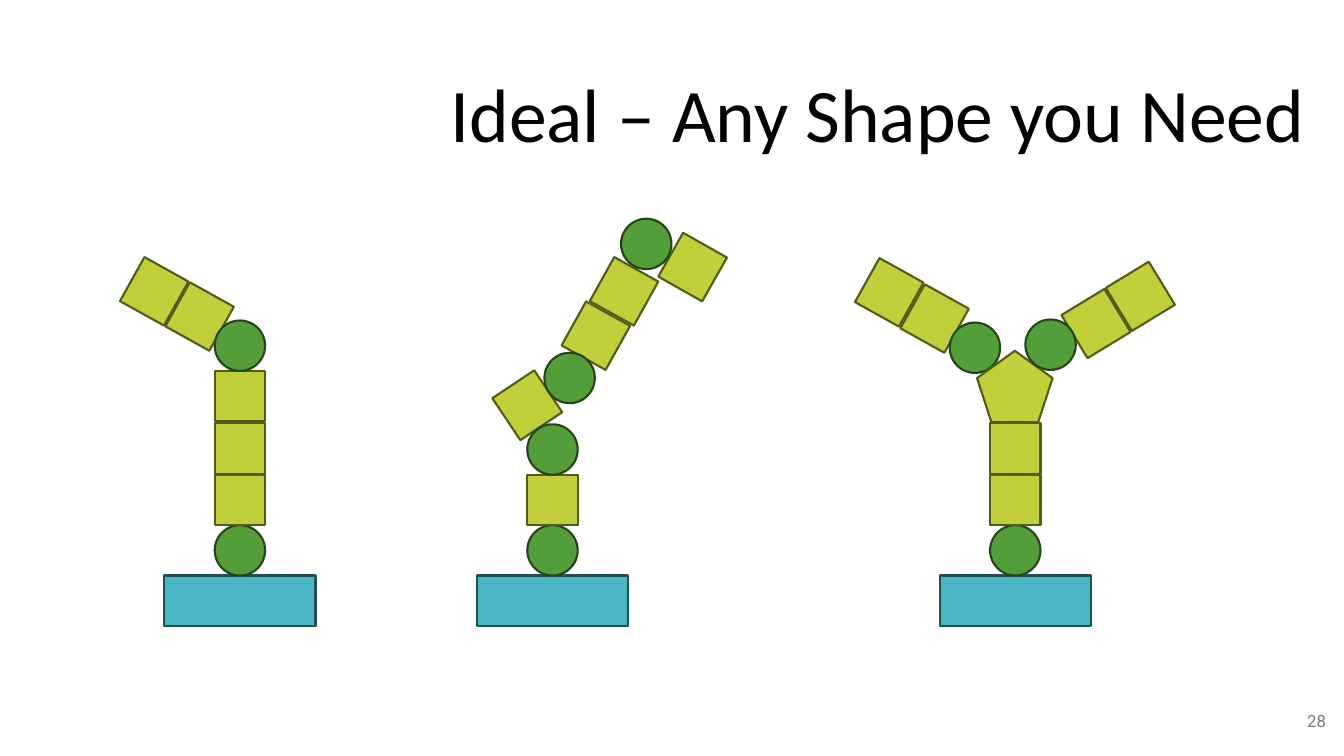
from pptx import Presentation
from pptx import util as u
from pptx.dml.color import RGBColor
from pptx.enum import shapes, text

PX = 9144  # 100 px to the inch
SIDE = 50  # size of a block and of a joint
BASE_W, BASE_TOP = 150, 571
JOINT_TOP = BASE_TOP - SIDE
BLOCK_TOPS = [471, 420, 368]  # upright blocks, from the base up
LEAN = 299.1  # tilt of blocks along a leaning arm

BLACK = RGBColor(0x00, 0x00, 0x00)
GREY = RGBColor(0x79, 0x79, 0x79)
LIME, LIME_EDGE = RGBColor(0xC0, 0xCF, 0x3A), RGBColor(0x54, 0x5B, 0x19)
GREEN, GREEN_EDGE = RGBColor(0x54, 0x9E, 0x39), RGBColor(0x25, 0x45, 0x19)
TEAL, TEAL_EDGE = RGBColor(0x4A, 0xB5, 0xC4), RGBColor(0x20, 0x4F, 0x56)


def px(*lengths):
    return [n * PX for n in lengths]


def write(sp, words, *, size, font, color, spacing=None):
    tf = sp.text_frame
    tf.word_wrap = True
    tf.vertical_anchor = text.MSO_ANCHOR.MIDDLE
    p = tf.paragraphs[0]
    p.alignment = text.PP_ALIGN.RIGHT
    p.line_spacing = spacing
    r = p.add_run()
    r.text = words
    r.font.size = u.Pt(size)
    r.font.name = font
    r.font.color.rgb = color


def add_part(s, kind, left, top, width, height, fill, edge, angle=0):
    sp = s.shapes.add_shape(kind, *px(left, top, width, height))
    sp.shadow.inherit = False
    sp.fill.solid()
    sp.fill.fore_color.rgb = fill
    sp.line.color.rgb = edge
    sp.line.width = u.Pt(1.5)
    sp.rotation = angle


def add_block(s, left, top, angle=0):
    add_part(s, shapes.MSO_SHAPE.RECTANGLE, left, top, SIDE, SIDE,
             LIME, LIME_EDGE, angle)


def add_joint(s, left, top):
    add_part(s, shapes.MSO_SHAPE.OVAL, left, top, SIDE, SIDE, GREEN, GREEN_EDGE)


def add_stand(s, left, blocks):
    """Base, its joint and a column of upright blocks."""
    add_part(s, shapes.MSO_SHAPE.RECTANGLE, left, BASE_TOP, BASE_W, SIDE,
             TEAL, TEAL_EDGE)
    middle = left + (BASE_W - SIDE) // 2
    add_joint(s, middle, JOINT_TOP)
    for top in BLOCK_TOPS[:blocks]:
        add_block(s, middle, top)


def add_arm(s, blocks, joints):
    for block in blocks:
        add_block(s, *block)
    for joint in joints:
        add_joint(s, *joint)


def main():
    prs = Presentation()
    prs.slide_width, prs.slide_height = px(1333, 750)
    s = prs.slides.add_slide(prs.slide_layouts[5])

    # Title and page number
    title = s.shapes.title
    title.left, title.top, title.width, title.height = px(92, 45, 1212, 145)
    write(title, "Ideal – Any Shape you Need", size=54, font="Calibri",
          color=BLACK, spacing=0.9)
    number = s.shapes.add_textbox(*px(1263, 695, 62, 40))
    write(number, "28", size=12, font="Roboto", color=GREY)

    # Left robot: one bend
    add_stand(s, 163, 3)
    add_arm(s, [(173, 289, LEAN), (128, 264, LEAN)], [(213, 318)])

    # Middle robot: three bends
    add_stand(s, 473, 1)
    add_arm(s, [(498, 377, 326.3), (566, 308, LEAN), (594, 264, LEAN),
                (662, 240, 29.5)],
            [(523, 421), (540, 350), (616, 217)])

    # Right robot: two arms on a pentagon
    add_stand(s, 932, 2)
    add_arm(s, [(902, 291, LEAN), (857, 265, LEAN)], [(942, 320)])
    add_part(s, shapes.MSO_SHAPE.REGULAR_PENTAGON, 969, 348, 75, 71,
             LIME, LIME_EDGE)
    add_arm(s, [(1062, 296, 58.7), (1106, 269, 58.7)], [(1017, 317)])

    prs.save("out.pptx")


if __name__ == "__main__":
    main()
